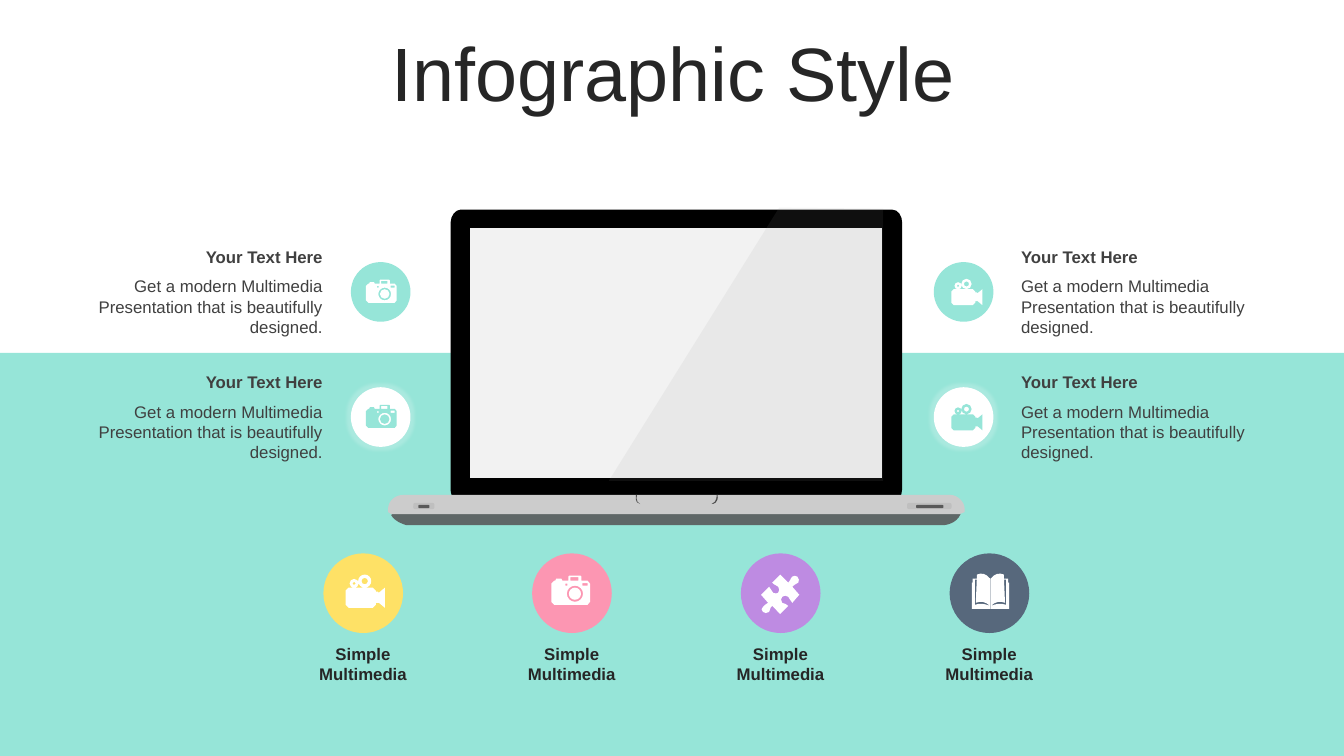
from typing import NamedTuple
import pptx
import pptx.util
import pptx.dml.color
import pptx.enum.shapes
import pptx.enum.text
import pptx.oxml
import pptx.oxml.ns

Pt = pptx.util.Pt
Color = pptx.dml.color.RGBColor
Kind = pptx.enum.shapes.MSO_SHAPE
Align = pptx.enum.text.PP_ALIGN
Anchor = pptx.enum.text.MSO_ANCHOR

MINT = Color(0x96, 0xE5, 0xD8)
WHITE = Color(0xFF, 0xFF, 0xFF)
BLACK = Color(0, 0, 0)
INK = Color(0x26, 0x26, 0x26)
GRAY = Color(0x40, 0x40, 0x40)
YELLOW = Color(0xFE, 0xE1, 0x66)
PINK = Color(0xFC, 0x96, 0xB2)
PURPLE = Color(0xBE, 0x8B, 0xE2)
SLATE = Color(0x57, 0x68, 0x7C)
BASE = Color(0x5F, 0x67, 0x67)
PANEL = Color(0xF2, 0xF2, 0xF2)
DECK = Color(0xCC, 0xCC, 0xCC)
NOTCH = Color(0x4D, 0x4D, 0x4D)
SLOT = Color(0xBF, 0xBF, 0xBF)
PORT = Color(0x59, 0x59, 0x59)
SHINE = Color(0x99, 0x99, 0x99)
NS = 'xmlns:a="http://schemas.openxmlformats.org/drawingml/2006/main"'

Ring = list[tuple[float, ...]]


class Icon(NamedTuple):
    left: float
    top: float
    rings: list[Ring]


class Part(NamedTuple):
    color: Color
    rings: list[Ring]


class Slit(NamedTuple):
    left: float
    top: float
    width: float
    height: float
    color: Color


class Spot(NamedTuple):
    left: float
    top: float
    size: float
    unit: float
    fill: Color
    ink: Color
    icon: Icon


def circle(x: float, y: float, r: float) -> Ring:
    k = 0.55 * r
    return [(x + r, y), (x + r, y + k, x + k, y + r, x, y + r),
            (x - k, y + r, x - r, y + k, x - r, y),
            (x - r, y - k, x - k, y - r, x, y - r),
            (x + k, y - r, x + r, y - k, x + r, y)]


def box(x: float, y: float, right: float, low: float) -> Ring:
    return [(x, y), (right, y), (right, low), (x, low)]


def mirror(ring: Ring, width: float) -> Ring:
    return [tuple(v if i % 2 else width - v for i, v in enumerate(step))
            for step in ring]


def paint(shape, color: Color):
    shape.shadow.inherit = False
    shape.fill.solid()
    shape.fill.fore_color.rgb = color
    shape.line.fill.background()
    return shape


def trace(shapes, rings: list[Ring], left: float, top: float, unit: float,
          color: Color):
    start = (left, top)
    paths = [[tuple(round(100 * (start[i % 2] + v * unit))
                    for i, v in enumerate(step)) for step in ring]
             for ring in rings]
    pen = shapes.build_freeform(*paths[0][0], scale=Pt(0.01))
    for i, steps in enumerate(paths):
        if i:
            pen.move_to(*steps[0])
        pen.add_line_segments([step[-2:] for step in steps[1:]], close=True)
    shape = pen.convert_to_shape()
    ends = [step[-2:] for steps in paths for step in steps]
    edge = [min(axis) for axis in zip(*ends)]
    lines = list(shape._element.iter(pptx.oxml.ns.qn("a:lnTo")))
    for line, step in zip(lines, [s for steps in paths for s in steps[1:]]):
        if len(step) == 6:
            dots = "".join(f'<a:pt x="{x - edge[0]}" y="{y - edge[1]}"/>'
                           for x, y in zip(step[::2], step[1::2]))
            curve = pptx.oxml.parse_xml(
                f"<a:cubicBezTo {NS}>{dots}</a:cubicBezTo>")
            line.getparent().replace(line, curve)
    return paint(shape, color)


def block(shapes, kind: Kind, left: float, top: float, width: float,
          height: float, color: Color):
    return paint(shapes.add_shape(kind, Pt(left), Pt(top), Pt(width),
                                  Pt(height)), color)


def write(shapes, text: str, left: float, top: float, width: float,
          height: float, size: float, color: Color, align: Align,
          bold: bool = False, anchor: Anchor = Anchor.TOP):
    frame = shapes.add_textbox(Pt(left), Pt(top), Pt(width),
                               Pt(height)).text_frame
    frame.word_wrap = True
    frame.vertical_anchor = anchor
    line = frame.paragraphs[0]
    line.alignment = align
    run = line.add_run()
    run.text = text
    run.font.name = "Arial"
    run.font.size = Pt(size)
    run.font.bold = bold
    run.font.color.rgb = color
    return line


def badge(shapes, spot: Spot):
    disc = block(shapes, Kind.OVAL, spot.left, spot.top, spot.size, spot.size,
                 spot.fill)
    if spot.fill == WHITE:
        glow = pptx.oxml.parse_xml(
            f'<a:glow {NS} rad="{Pt(5)}"><a:srgbClr val="{WHITE}">'
            '<a:alpha val="20000"/></a:srgbClr></a:glow>')
        disc._element.spPr.find(pptx.oxml.ns.qn("a:effectLst")).append(glow)
    icon = spot.icon
    trace(shapes, icon.rings, spot.left + icon.left * spot.unit,
          spot.top + icon.top * spot.unit, spot.unit, spot.ink)


CAMERA = Icon(19, 22, [
    [(18, 0), (29, 0), (30, 1), (30, 5), (36, 5), (38.5, 8), (38.5, 26),
     (36, 29), (3, 29), (0, 26), (0, 8), (3, 5), (4, 5), (5, 3), (10, 3),
     (11, 5), (17, 5), (17, 1)],
    circle(23.5, 18, 8), circle(23.5, 18, 6),
    box(14, 8, 16, 10), box(31, 7.5, 36, 10), box(19, 1.5, 27, 5)])
VIDEO = Icon(22, 21, [
    [(27, 13), (30, 16), (30, 17), (32, 17), (33, 18), (39, 13), (39, 33),
     (33, 28), (30, 28), (30, 30), (27, 33), (3, 33), (0, 30), (0, 16),
     (3, 13)],
    circle(19, 6.5, 6.5), circle(19, 6.5, 3.2),
    circle(8.5, 8.8, 4.5), circle(8.5, 8.8, 1.7)])
PUZZLE = Icon(20, 21, [[
    (36, 2), (38, 4, 38, 6, 37, 8), (35, 10, 33, 9, 31, 12), (38, 20),
    (31, 28), (28, 26, 29, 23, 27, 22), (25, 20, 23, 21, 21, 22),
    (20, 23, 19, 26, 21, 28), (24, 30, 25, 28, 27, 31), (19, 39), (11, 31),
    (8, 34, 10, 34, 8, 37), (6, 39, 3, 38, 2, 37), (0, 36, 0, 33, 2, 32),
    (3, 29, 6, 30, 7, 28), (0, 20), (8, 12), (11, 14, 9, 16, 12, 18),
    (14, 19, 16, 19, 17, 18), (18, 16, 19, 14, 17, 12),
    (15, 10, 14, 11, 11, 8), (19, 0), (27, 8), (30, 6, 28, 5, 31, 2),
    (32, 1, 35, 1, 36, 2)]])
COVER = [(0, 35), (0, 9), (1, 9), (1, 5), (5, 5), (5, 1),
         (10, -1, 14, 0, 18.2, 5), (18.2, 35)]
PAGE = [(18, 32), (14, 28, 9, 27, 4, 29), (5, 6), (3, 6), (3, 31),
        (9, 29, 12, 30, 18, 32)]
BOOK = Icon(22, 20, [COVER, mirror(COVER, 37), PAGE, mirror(PAGE, 37)])

LAPTOP = [
    Part(BASE, [[(552, 315), (552, 315, 564, 314, 568, 304), (563, 299),
                 (9, 301), (3, 305), (7, 312, 15, 314, 18, 315)]]),
    Part(BLACK, [[(510, 279), (510, 286, 506, 293, 500, 293), (72, 293),
                  (67, 293, 62, 287, 62, 279), (62, 15),
                  (62, 8, 67, 2, 72, 2), (500, 2), (506, 2, 510, 8, 510, 15)]]),
    Part(PANEL, [box(81, 20, 490, 268)]),
    Part(DECK, [[(15, 285), (558, 285), (565, 285, 572, 292, 572, 299),
                 (572, 302), (567, 304), (3, 304), (0, 302), (0, 299),
                 (0, 291, 7, 285, 15, 285)]]),
    Part(NOTCH, [[(246, 285), (247, 285), (247, 285, 245, 292, 250, 294),
                  (244, 293, 246, 285, 246, 285)],
                 [(326, 285), (327, 285), (328, 293, 323, 294, 321, 294),
                  (323, 293, 326, 292, 326, 285)]])]
SLITS = [Slit(295.2, 359.3, 15.1, 4.3, SLOT), Slit(298.8, 360.7, 7.9, 2.2, PORT),
         Slit(648, 359.3, 31.7, 4.3, SLOT), Slit(654.5, 360.7, 19.4, 2.2, PORT)]
GLARE = [[(388, 0), (491, 1), (491, 271), (219, 271)]]


def main():
    deck = pptx.Presentation()
    deck.slide_width, deck.slide_height = Pt(960), Pt(540)
    shapes = deck.slides.add_slide(deck.slide_layouts[6]).shapes
    block(shapes, Kind.RECTANGLE, 0, 252, 960, 288, MINT)

    for part in LAPTOP:
        trace(shapes, part.rings, 277.2, 148.3, 0.72, part.color)
    for slit in SLITS:
        bar = block(shapes, Kind.ROUNDED_RECTANGLE, *slit)
        bar.adjustments[0] = 0.28
    shine = trace(shapes, GLARE, 277.2, 148.3, 0.72, SHINE)
    tint = shine._element.spPr.find(".//" + pptx.oxml.ns.qn("a:srgbClr"))
    tint.append(pptx.oxml.parse_xml(f'<a:alpha {NS} val="10000"/>'))

    title = write(shapes, "Infographic Style", 25.2, 26.6, 911.5, 56.9, 54,
                  INK, Align.CENTER, anchor=Anchor.MIDDLE)
    title.line_spacing = 0.9

    for top, fill, ink in ((172.8, MINT, WHITE), (262.2, WHITE, MINT)):
        for text, disc, align, icon in ((56.2, 250.6, Align.RIGHT, CAMERA),
                                        (722.2, 667, Align.LEFT, VIDEO)):
            badge(shapes, Spot(disc, top + 14.4, 42.6, 0.57, fill, ink, icon))
            write(shapes, "Your Text Here", text, top, 181.4, 21.6, 12, GRAY,
                  align, True, Anchor.MIDDLE)
            write(shapes, "Get a modern Multimedia Presentation that is "
                  "beautifully designed.", text, top + 20.9, 181.4, 51.1, 12,
                  GRAY, align)

    for i, (fill, icon) in enumerate(((YELLOW, VIDEO), (PINK, CAMERA),
                                      (PURPLE, PUZZLE), (SLATE, BOOK))):
        left = 231 + 149.1 * i
        badge(shapes, Spot(left, 395.3, 56.9, 0.72, fill, WHITE, icon))
        write(shapes, "Simple Multimedia", left - 17, 456.5, 90.7, 36, 12, INK,
              Align.CENTER, True)

    deck.save("out.pptx")


if __name__ == "__main__":
    main()
